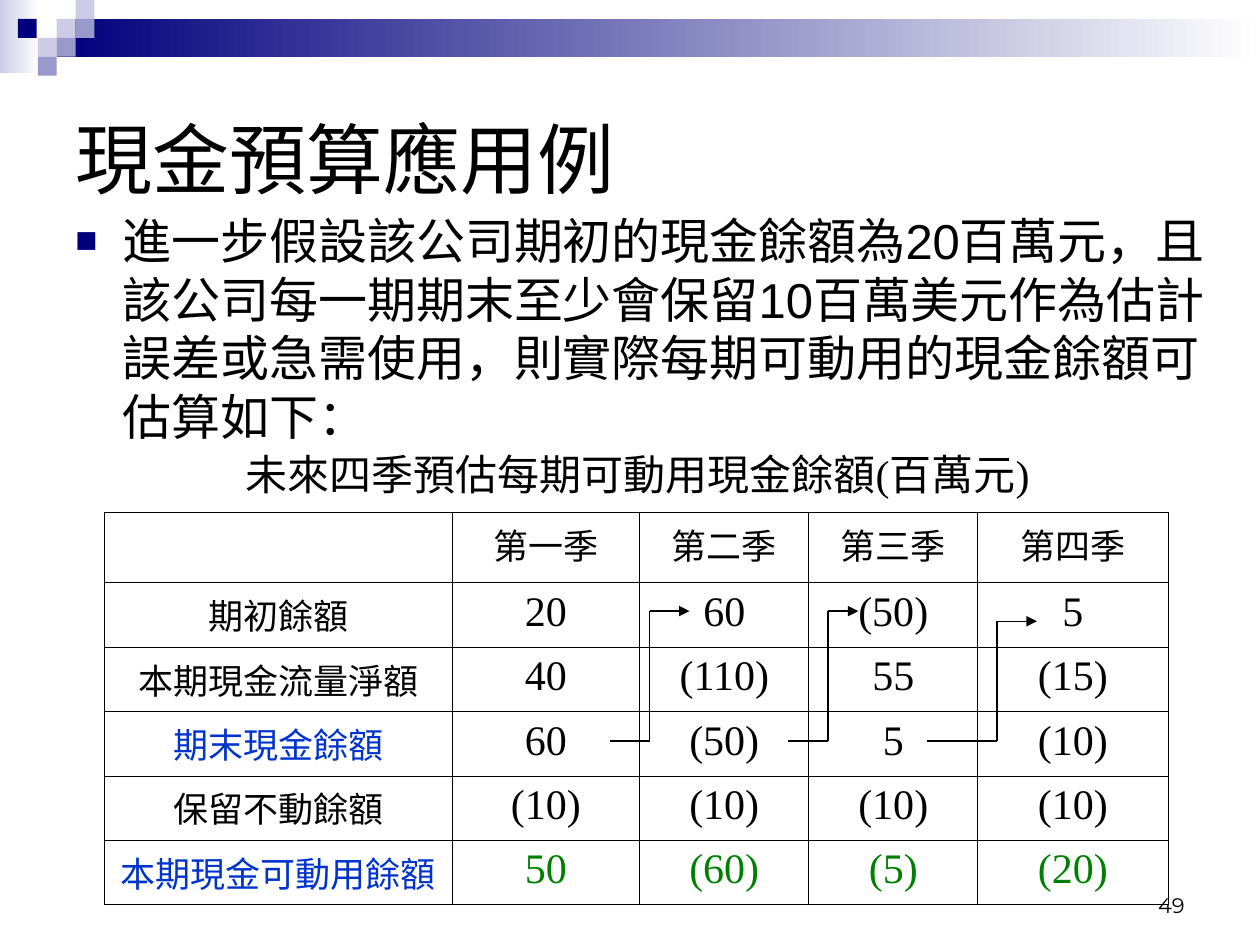
"""Build a slide on a cash budget with a table of usable quarterly balances."""
from itertools import pairwise

from lxml.etree import SubElement
from pptx import Presentation
from pptx.dml.color import RGBColor
from pptx.enum.shapes import MSO_CONNECTOR as Connector, MSO_SHAPE as Shape
from pptx.enum.text import MSO_ANCHOR as Anchor, PP_ALIGN as Align
from pptx.oxml.ns import qn
from pptx.util import Pt

BLACK = RGBColor(0x00, 0x00, 0x00)
WHITE = RGBColor(0xFF, 0xFF, 0xFF)
NAVY = RGBColor(0x00, 0x00, 0x7D)
LILAC = RGBColor(0x99, 0x99, 0xCC)
PALE = RGBColor(0xCC, 0xCC, 0xE6)
BLUE = RGBColor(0x00, 0x33, 0xCC)
GREEN = RGBColor(0x00, 0x80, 0x00)
SANS, SERIF, NUMBER_FONT = "Arial", "Times New Roman", "Montserrat"

TITLE = "現金預算應用例"
BODY = ("進一步假設該公司期初的現金餘額為20百萬元，且該公司每一期期末至少會保留10百萬美元作為"
        "估計誤差或急需使用，則實際每期可動用的現金餘額可估算如下：")
CAPTION = "未來四季預估每期可動用現金餘額(百萬元)"
PAGE_NUMBER = "49"

HEADINGS = ["", "第一季", "第二季", "第三季", "第四季"]
ROWS = [
    ("期初餘額", BLACK, ["20", "60", "(50)", "5"], BLACK),
    ("本期現金流量淨額", BLACK, ["40", "(110)", "55", "(15)"], BLACK),
    ("期末現金餘額", BLUE, ["60", "(50)", "5", "(10)"], BLACK),
    ("保留不動餘額", BLACK, ["(10)", "(10)", "(10)", "(10)"], BLACK),
    ("本期現金可動用餘額", BLUE, ["50", "(60)", "(5)", "(20)"], GREEN),
]
TABLE_LEFT, TABLE_TOP = 59.8, 292.6
COLUMN_WIDTHS = [198.4, 107.4, 96.6, 96.6, 108.7]
HEADING_HEIGHT, ROW_HEIGHT = 40.4, 36.8

GRADIENT_BARS = [((0, 0, 22.5, 42), PALE), ((32.4, 10.8, 687.6, 21.6), NAVY)]
TILE = 10.8
TILES = [(32.4, 10.8, PALE), (43.2, 0, PALE), (43.2, 10.8, LILAC),
         (21.6, 21.6, PALE), (10.2, 10.8, NAVY), (32.4, 21.6, LILAC),
         (21.6, 32.4, LILAC)]

CLOSING_Y = 423.4
CARRY_ARROWS = [(348.5, 371.3, 394, 349.2), (450.5, 473.2, 490.5, 349.2),
                (530, 569.7, 592.5, 355)]


def add_rectangle(slide, box, color, fades=False):
    shape = slide.shapes.add_shape(Shape.RECTANGLE, *map(Pt, box))
    shape.shadow.inherit = False
    shape.line.fill.background()
    if fades:
        shape.fill.gradient()
        shape.fill.gradient_angle = 180
        for stop, position, stop_color in zip(
                shape.fill.gradient_stops, (0, 1), (WHITE, color)):
            stop.position = position
            stop.color.rgb = stop_color
    else:
        shape.fill.solid()
        shape.fill.fore_color.rgb = color


def write(frame, text, size, font, color=BLACK, align=Align.LEFT):
    paragraph = frame.paragraphs[0]
    paragraph.alignment = align
    if text:
        run = paragraph.add_run()
        run.text = text
        run.font.size, run.font.name = Pt(size), font
        run.font.color.rgb = color
    return paragraph


def add_text(slide, box, text, size, font, align=Align.LEFT,
             anchor=Anchor.MIDDLE, wrap=True):
    frame = slide.shapes.add_textbox(*map(Pt, box)).text_frame
    frame.word_wrap = wrap
    frame.vertical_anchor = anchor
    return write(frame, text, size, font, align=align)


def add_bullet(paragraph):
    paragraph.space_before = Pt(7)
    properties = paragraph._p.get_or_add_pPr()
    properties.set("marL", str(Pt(27)))
    properties.set("indent", str(Pt(-27)))
    color = SubElement(properties, qn("a:buClr"))
    SubElement(color, qn("a:srgbClr"), val=str(NAVY))
    SubElement(properties, qn("a:buSzPct"), val="75000")
    SubElement(properties, qn("a:buFont"), typeface=SANS)
    SubElement(properties, qn("a:buChar"), char="■")


def fill_cell(cell, text, size, color):
    write(cell.text_frame, text, size, SERIF, color, Align.CENTER)
    properties = cell._tc.get_or_add_tcPr()
    for side in ("lnL", "lnR", "lnT", "lnB"):
        border = SubElement(properties, qn(f"a:{side}"), w=str(Pt(0.45)))
        fill = SubElement(border, qn("a:solidFill"))
        SubElement(fill, qn("a:srgbClr"), val=str(BLACK))
    cell.fill.background()


def add_balance_table(slide):
    height = HEADING_HEIGHT + ROW_HEIGHT * len(ROWS)
    table = slide.shapes.add_table(
        len(ROWS) + 1, len(HEADINGS), Pt(TABLE_LEFT), Pt(TABLE_TOP),
        Pt(sum(COLUMN_WIDTHS)), Pt(height)).table
    table.first_row = table.horz_banding = False
    for column, width in zip(table.columns, COLUMN_WIDTHS):
        column.width = Pt(width)
    for index, row in enumerate(table.rows):
        row.height = Pt(ROW_HEIGHT if index else HEADING_HEIGHT)
    for column, heading in enumerate(HEADINGS):
        fill_cell(table.cell(0, column), heading, 20, BLACK)
    for row, (label, label_color, values, value_color) in enumerate(ROWS, 1):
        fill_cell(table.cell(row, 0), label, 20, label_color)
        for column, value in enumerate(values, 1):
            fill_cell(table.cell(row, column), value, 24, value_color)


def add_carry_arrow(slide, start_x, bend_x, end_x, opening_y):
    points = [(start_x, CLOSING_Y), (bend_x, CLOSING_Y),
              (bend_x, opening_y), (end_x, opening_y)]
    for start, end in pairwise(points):
        line = slide.shapes.add_connector(
            Connector.STRAIGHT, *map(Pt, start + end))
        line.line.color.rgb = BLACK
        line.line.width = Pt(0.75)
        SubElement(line._element.spPr, qn("a:effectLst"))
    SubElement(line.line._get_or_add_ln(), qn("a:tailEnd"), type="triangle")


def main():
    presentation = Presentation()
    presentation.slide_width, presentation.slide_height = Pt(720), Pt(540)
    slide = presentation.slides.add_slide(presentation.slide_layouts[6])
    for box, color in GRADIENT_BARS:
        add_rectangle(slide, box, color, fades=True)
    for left, top, color in TILES:
        add_rectangle(slide, (left, top, TILE, TILE), color)
    add_text(slide, (36, 36, 648, 108), TITLE, 44, SANS)
    add_bullet(add_text(slide, (36, 116.6, 664.6, 408), BODY, 28, SANS,
                        anchor=Anchor.TOP))
    add_text(slide, (124.6, 252.7, 479.5, 36), CAPTION, 24, SERIF,
             Align.CENTER, wrap=False)
    add_balance_table(slide)
    for arrow in CARRY_ARROWS:
        add_carry_arrow(slide, *arrow)
    add_text(slide, (516, 491.8, 168, 36), PAGE_NUMBER, 12, NUMBER_FONT,
             Align.RIGHT, Anchor.BOTTOM)
    presentation.save("out.pptx")


if __name__ == "__main__":
    main()
